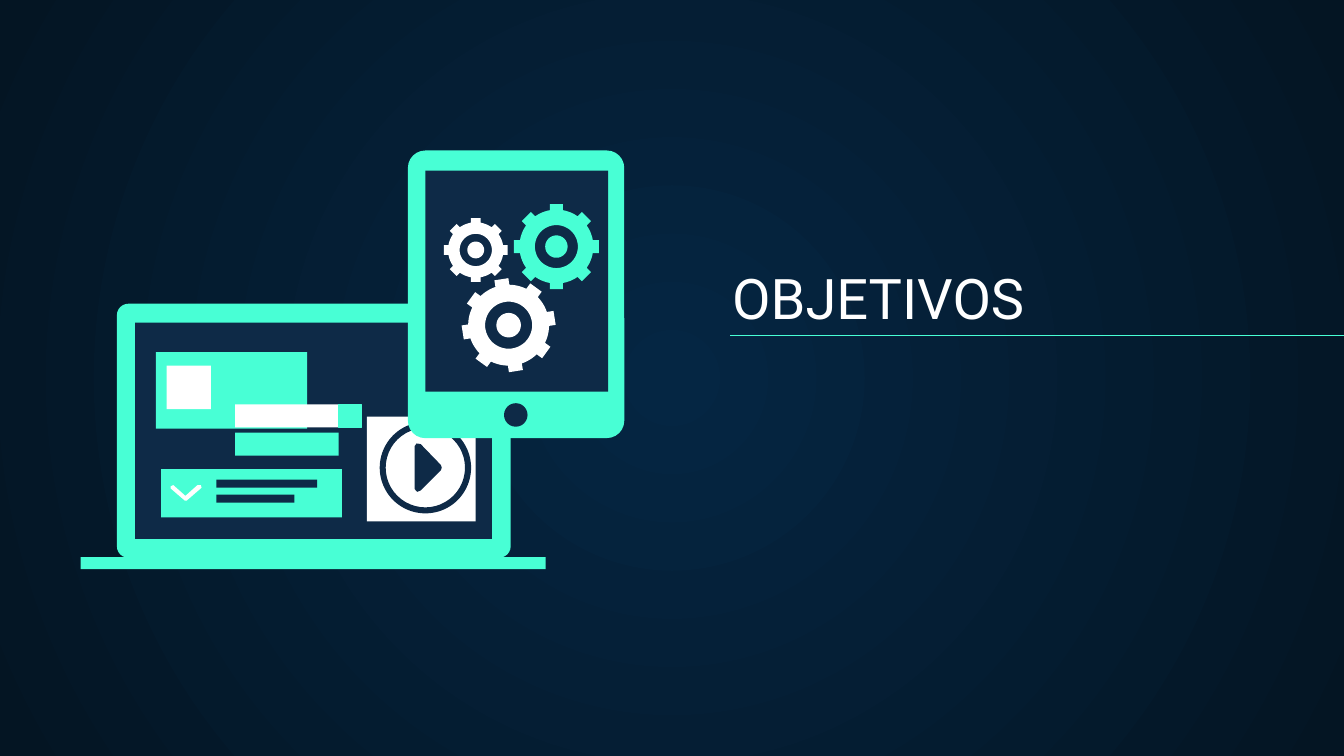
from math import cos, sin, pi, radians, asin
from lxml.etree import SubElement
from pptx import Presentation
from pptx.dml.color import RGBColor
from pptx.enum.shapes import MSO_CONNECTOR, MSO_SHAPE as SHAPE
from pptx.enum.text import MSO_ANCHOR
from pptx.oxml.ns import qn
from pptx.util import Inches, Pt

MINT = RGBColor(0x48, 0xFF, 0xD5)
NAVY = RGBColor(0x0E, 0x2A, 0x47)
WHITE = RGBColor(0xFF, 0xFF, 0xFF)
GLOW = RGBColor(0x05, 0x26, 0x43)
NIGHT = RGBColor(0x04, 0x15, 0x23)

# The page is a grid of 1000 columns by 562.5 rows; boxes are left, top, width, height.
CELL = Inches(10) // 1000
COLUMNS, ROWS = 1000, 562.5


def cells(*counts):
    return [round(count * CELL) for count in counts]


def paint(shape, color):
    shape.shadow.inherit = False
    shape.fill.solid()
    shape.fill.fore_color.rgb = color
    shape.line.fill.background()
    return shape


def add_block(page, region, part, color, kind=SHAPE.RECTANGLE, adjust=None):
    """Place a preset shape, its part measured from the region's corner."""
    left, top, width, height = part
    place = cells(region[0] + left, region[1] + top, width, height)
    block = paint(page.shapes.add_shape(kind, *place), color)
    if adjust is not None:
        block.adjustments[0] = adjust
    return block


def add_outline(page, region, contours, color):
    """Draw closed contours as one shape; inner contours are holes."""
    placed = [[cells(region[0] + x, region[1] + y) for x, y in contour]
              for contour in contours]
    builder = page.shapes.build_freeform(*placed[0][0], scale=1.0)
    for number, contour in enumerate(placed):
        if number:
            builder.move_to(*contour[0])
        builder.add_line_segments(contour[1:], close=True)
    return paint(builder.convert_to_shape(), color)


def add_gear(page, region, center, radius, color, turn=0, teeth=8):
    def point(reach, angle):
        return (center[0] + reach * cos(angle), center[1] + reach * sin(angle))

    def circle(reach, steps=60):
        return [point(reach, 2 * pi * step / steps) for step in range(steps)]

    body, half_tooth = 0.86 * radius, 0.15 * radius
    base, tip = asin(half_tooth / body), asin(half_tooth / radius)
    pitch = 2 * pi / teeth
    rim = []
    for tooth in range(teeth):
        axis = tooth * pitch + radians(turn)
        rim += [point(body, axis - base), point(radius, axis - tip),
                point(radius, axis + tip), point(body, axis + base)]
        gap = pitch - 2 * base
        rim += [point(body, axis + base + gap * step / 6) for step in range(1, 6)]
    add_outline(page, region, [rim, circle(0.5 * radius), circle(0.26 * radius)], color)


def draw_background(page):
    fill = page.background.fill
    fill.gradient()
    for stop, color in zip(fill.gradient_stops, (GLOW, NIGHT)):
        stop.color.rgb = color
    # Radial gradient from the centre
    gradient = page.element.find(".//" + qn("a:gradFill"))
    gradient.remove(gradient.find(qn("a:lin")))
    radial = SubElement(gradient, qn("a:path"), {"path": "circle"})
    SubElement(radial, qn("a:fillToRect"), dict.fromkeys("ltrb", "50000"))


def draw_title(page, region):
    left, top, width, height = region
    box = page.shapes.add_textbox(*cells(*region))
    frame = box.text_frame
    frame.word_wrap = True
    frame.vertical_anchor = MSO_ANCHOR.BOTTOM
    frame.margin_left = frame.margin_right = Inches(0.1)
    frame.margin_top = frame.margin_bottom = Inches(0.1)
    span = frame.paragraphs[0].add_run()
    span.text = "OBJETIVOS"
    span.font.name, span.font.size = "Roboto", Pt(30)
    span.font.color.rgb = WHITE
    # Rule running off the right edge
    level = top + height - 6.5
    rule = page.shapes.add_connector(
        MSO_CONNECTOR.STRAIGHT, *cells(left + 8.5, level, COLUMNS + 30, level))
    rule.line.color.rgb, rule.line.width = MINT, Pt(0.75)
    SubElement(rule.element.spPr, qn("a:effectLst"))


def draw_laptop(page, region):
    # Lid, screen and base
    add_block(page, region, (27, 0, 293, 189), MINT, SHAPE.ROUNDED_RECTANGLE, 0.045)
    add_block(page, region, (40.5, 14, 265.5, 161), NAVY)
    add_block(page, region, (0, 188.5, 346, 9), MINT)
    # Profile card, bars and message card
    for part, color in (
        ((56, 36, 112.5, 57), MINT), ((64, 46, 33, 32.5), WHITE),
        ((60, 123, 134.5, 36), MINT),
        ((101, 131, 75, 6), NAVY), ((101, 142, 58, 6), NAVY),
        ((115, 96, 77, 17), MINT), ((115, 75, 77, 17), WHITE),
    ):
        add_block(page, region, part, color)
    tag = add_block(page, region, (192, 75, 17, 17), MINT)
    tag.line.color.rgb, tag.line.width = MINT, Pt(0.75)
    check = [(67, 136), (69, 135), (78, 143), (87, 135), (89.5, 135),
             (90, 137), (79, 146.5), (77.5, 146.5), (67, 137.5)]
    add_outline(page, region, [check], WHITE)
    # Video player
    add_block(page, region, (213, 84, 81, 78), WHITE)
    add_block(page, region, (222.5, 88, 68, 68), NAVY, SHAPE.DONUT, 0.066)
    play = [(248.5, 106), (250, 104), (253, 104.5), (268, 120), (268.7, 122),
            (268, 124), (253, 139), (250.5, 140), (248.5, 138)]
    add_outline(page, region, [play], NAVY)


def draw_tablet(page, region):
    # Case, screen and button
    add_block(page, region, (0, 0, *region[2:]), MINT, SHAPE.ROUNDED_RECTANGLE, 0.08)
    add_block(page, region, (13, 15, 136, 164.5), NAVY)
    add_block(page, region, (71.5, 188, 17.5, 17.5), NAVY, SHAPE.OVAL)
    # Gears
    add_gear(page, region, (110.5, 71.5), 32, MINT)
    add_gear(page, region, (50.5, 74), 24, WHITE)
    add_gear(page, region, (75, 130), 35, WHITE, turn=-9)


def main():
    deck = Presentation()
    deck.slide_width, deck.slide_height = cells(COLUMNS, ROWS)
    page = deck.slides.add_slide(deck.slide_layouts[6])
    draw_background(page)
    draw_title(page, (535, 190, 386, 66))
    draw_laptop(page, (60, 226, 346, 198))
    draw_tablet(page, (303.5, 112, 161, 214))
    deck.save("out.pptx")


if __name__ == "__main__":
    main()
